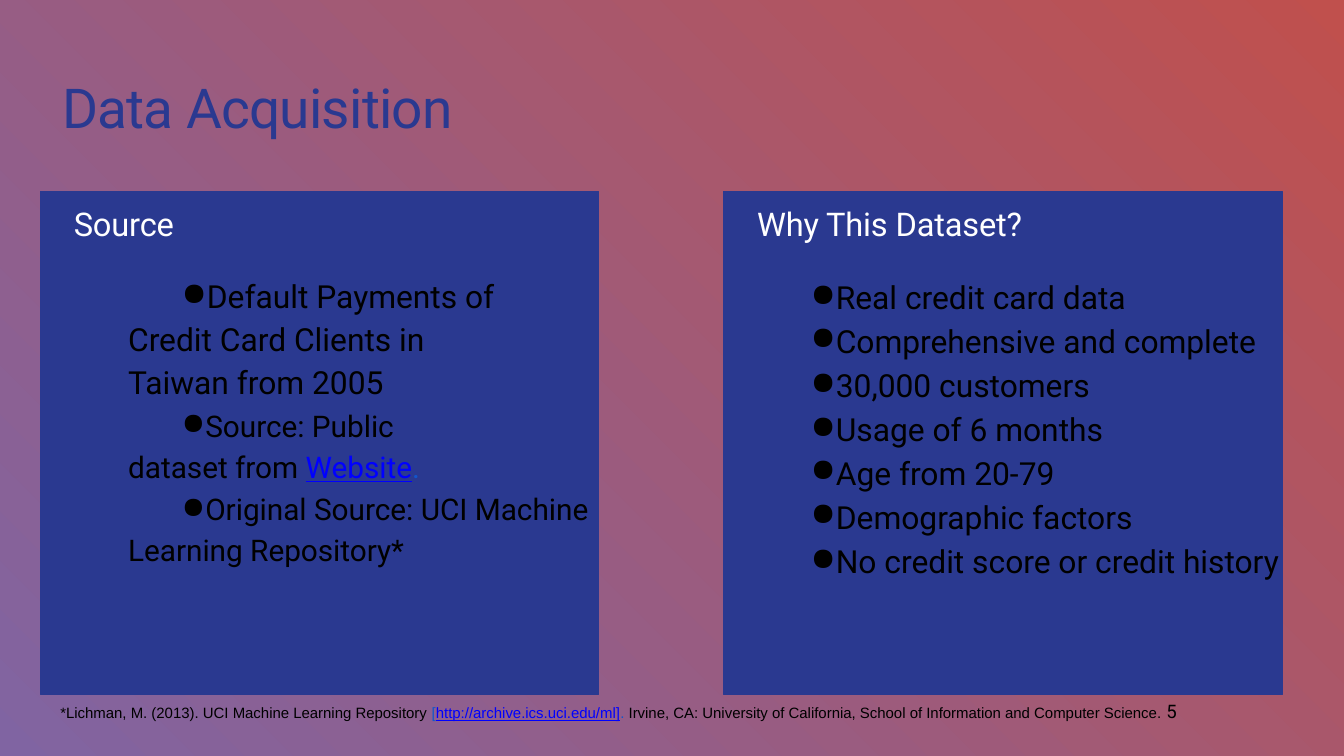
from lxml.etree import SubElement
from pptx import Presentation
from pptx.dml.color import RGBColor
from pptx.enum.shapes import MSO_SHAPE as Shape
from pptx.enum.text import MSO_ANCHOR as Anchor, PP_ALIGN as Align
from pptx.oxml.ns import qn
from pptx.util import Cm, Pt

NAVY, WHITE, BLACK = "2A3990", "FFFFFF", "000000"
LINK, LINK_EDGE = "0000FF", "1155CC"
BACKGROUND = ["C0504D", "8064A2"]

TITLE = "Data Acquisition"

# Bullets: runs (text, colour), size, line spacing, space before, right margin in cm
SOURCE = [
    ([("Default Payments of Credit Card Clients in Taiwan from 2005", BLACK)],
     22.7, 30.7, 20.3, 2.54),
    ([("Source: Public dataset from ", BLACK), ("Website", LINK), (".", LINK_EDGE)],
     21.3, 29.3, 1.3, 4.06),
    ([("Original Source: UCI Machine Learning Repository*", BLACK)],
     21.3, 29.3, 0.9, 0),
]
REASONS = [
    ("Real credit card data", 26.3),
    ("Comprehensive and complete", 6.1),
    ("30,000 customers", 6.2),
    ("Usage of 6 months", 6.2),
    ("Age from 20-79", 5.8),
    ("Demographic factors", 6.2),
    ("No credit score or credit history", 6.2),
]
# Panels: heading, left edge, left margin of bullets, bullets
PANELS = [
    ("Source", 1.02, 2.21, SOURCE),
    ("Why This Dataset?", 18.24, 0.84,
     [([(reason, BLACK)], 22.7, 25.3, before, 0) for reason, before in REASONS]),
]
PANEL_TOP, PANEL_WIDTH, PANEL_HEIGHT = 4.83, 14.07, 12.67
HEADING_MARGIN, BULLET_INDENT = 0.84, 1.35

CITATION = [
    ("*Lichman, M. (2013). UCI Machine Learning Repository", BLACK),
    (" [", LINK_EDGE),
    ("http://archive.ics.uci.edu/ml]", LINK),
    (".", LINK_EDGE),
    (" Irvine, CA: University of California, School of Information"
     " and Computer Science. ", BLACK),
]
PAGE_NUMBER = "5"


def rgb(value):
    return RGBColor.from_string(value)


def prepare_frame(shape, top_inset):
    frame = shape.text_frame
    frame.word_wrap = True
    frame.vertical_anchor = Anchor.TOP
    frame.margin_left = frame.margin_right = frame.margin_bottom = 0
    frame.margin_top = Cm(top_inset)
    return frame


def add_text_box(left, top, width, height, top_inset):
    box = slide.shapes.add_textbox(Cm(left), Cm(top), Cm(width), Cm(height))
    return prepare_frame(box, top_inset)


def write(paragraph, runs, size, line, before=0, font="Roboto", tracking=0,
          margin=0, right=0, indent=0, bullet=None):
    """Fill a paragraph; margins are in cm, spacings and tracking in points."""
    properties = paragraph._p.get_or_add_pPr()
    for key, length in (("marL", margin), ("marR", right), ("indent", indent)):
        properties.set(key, str(Cm(length)))
    if bullet:
        SubElement(properties, qn("a:buChar")).set("char", bullet)
    paragraph.alignment = Align.LEFT
    paragraph.line_spacing = Pt(line)
    paragraph.space_before = Pt(before)
    paragraph.font.size = Pt(size)
    paragraph.font.name = font
    properties.find(qn("a:defRPr")).set("spc", str(round(tracking * 100)))
    for text, color in runs:
        run = paragraph.add_run()
        run.text = text
        run.font.color.rgb = rgb(color)
        if color == LINK:
            run.font.underline = True


deck = Presentation()
deck.slide_width, deck.slide_height = Cm(33.87), Cm(19.05)
slide = deck.slides.add_slide(deck.slide_layouts[6])

backdrop = slide.background.fill
backdrop.gradient()
backdrop.gradient_angle = 225
for stop, color, position in zip(backdrop.gradient_stops, BACKGROUND, (0, 1)):
    stop.color.rgb = rgb(color)
    stop.position = position

title = add_text_box(1.57, 1.83, 10.16, 3, 0.08)
write(title.paragraphs[0], [(TITLE, NAVY)], 39.3, 45.3, tracking=-0.5)

for heading, left, margin, bullets in PANELS:
    panel = slide.shapes.add_shape(Shape.RECTANGLE, Cm(left), Cm(PANEL_TOP),
                                   Cm(PANEL_WIDTH), Cm(PANEL_HEIGHT))
    panel.shadow.inherit = False
    panel.fill.solid()
    panel.fill.fore_color.rgb = panel.line.color.rgb = rgb(NAVY)
    panel.line.width = Pt(0.7)
    frame = prepare_frame(panel, 0.36)
    write(frame.paragraphs[0], [(heading, WHITE)], 23.3, 26.7,
          tracking=-0.1, margin=HEADING_MARGIN)
    for runs, size, line, before, right in bullets:
        write(frame.add_paragraph(), runs, size, line, before, margin=margin,
              right=right, indent=BULLET_INDENT, bullet="●")

footnote = add_text_box(1.52, 17.5, 31.6, 0.79, 0.13).paragraphs[0]
write(footnote, CITATION, 10.7, 16, font="Arial")
page = footnote.add_run()
page.text = PAGE_NUMBER
page.font.size, page.font.name = Pt(13.3), "Roboto"
page.font.color.rgb = rgb(BLACK)

deck.save("out.pptx")
